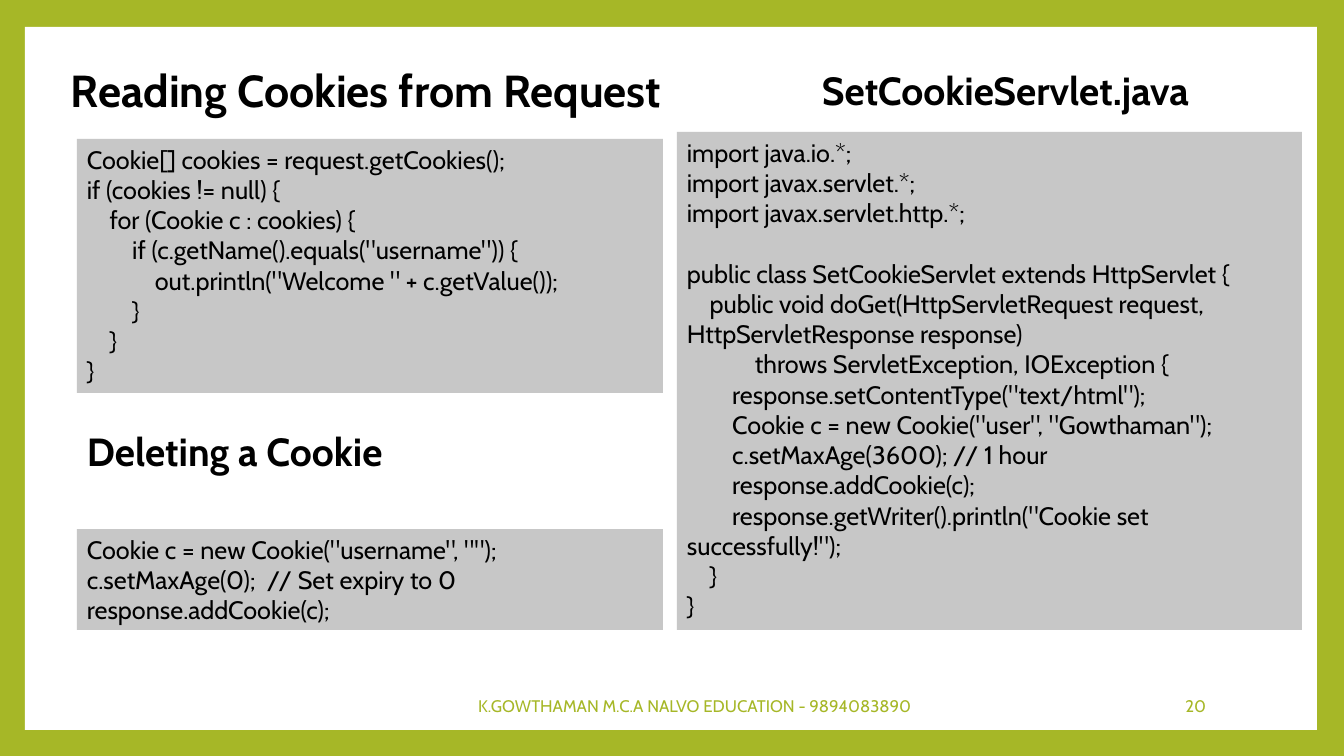
from pptx import Presentation
from pptx import util as u
from pptx.dml.color import RGBColor
from pptx.enum import shapes, text

EMU_PER_PX = 914400 / 100.8

READ_CODE = """\
Cookie[] cookies = request.getCookies();
if (cookies != null) {
    for (Cookie c : cookies) {
        if (c.getName().equals("username")) {
            out.println("Welcome " + c.getValue());
        }
    }
}"""

DELETE_CODE = """\
Cookie c = new Cookie("username", "");
c.setMaxAge(0);  // Set expiry to 0
response.addCookie(c);"""

SERVLET_CODE = """\
import java.io.*;
import javax.servlet.*;
import javax.servlet.http.*;

public class SetCookieServlet extends HttpServlet {
    public void doGet(HttpServletRequest request, HttpServletResponse response)
            throws ServletException, IOException {
        response.setContentType("text/html");
        Cookie c = new Cookie("user", "Gowthaman");
        c.setMaxAge(3600); // 1 hour
        response.addCookie(c);
        response.getWriter().println("Cookie set successfully!");
    }
}"""


def px(length):
    return u.Emu(round(length * EMU_PER_PX))


def colour(value):
    return RGBColor.from_string(value)


class SlideBuilder:
    font = "Cabin"
    green, white, grey, black = "A6B727", "FFFFFF", "C7C7C7", "000000"

    def __init__(self, presentation):
        self.slide = presentation.slides.add_slide(presentation.slide_layouts[6])

    def background(self, fill):
        background = self.slide.background.fill
        background.solid()
        background.fore_color.rgb = colour(fill)

    def panel(self, box, fill):
        shape = self.slide.shapes.add_shape(
            shapes.MSO_SHAPE.RECTANGLE, *map(px, box))
        shape.shadow.inherit = False
        shape.fill.solid()
        shape.fill.fore_color.rgb = colour(fill)
        shape.line.fill.background()
        return shape

    def add_lines(self, shape, lines, size, ink, bold=False,
                  align=text.PP_ALIGN.LEFT, anchor=text.MSO_ANCHOR.TOP, wrap=True):
        frame = shape.text_frame
        frame.word_wrap = wrap
        frame.vertical_anchor = anchor
        for index, line in enumerate(lines):
            paragraph = frame.add_paragraph() if index else frame.paragraphs[0]
            paragraph.alignment = align
            if not line:
                paragraph.font.size = u.Pt(size)
                continue
            run = paragraph.add_run()
            run.text = line
            run.font.name = self.font
            run.font.size = u.Pt(size)
            run.font.bold = bold
            run.font.color.rgb = colour(ink)

    def code(self, box, source):
        self.add_lines(self.panel(box, self.grey), source.split("\n"), 18, self.black)

    def heading(self, box, words, size=28):
        shape = self.slide.shapes.add_textbox(*map(px, box))
        self.add_lines(shape, [words], size, self.black, bold=True, wrap=False)
        shape.text_frame.auto_size = text.MSO_AUTO_SIZE.SHAPE_TO_FIT_TEXT

    def footer(self, left, width, words, align):
        shape = self.slide.shapes.add_textbox(*map(px, (left, 686, width, 40)))
        self.add_lines(shape, [words], 12, self.green, align=align,
                       anchor=text.MSO_ANCHOR.MIDDLE)


def main():
    presentation = Presentation()
    presentation.slide_width, presentation.slide_height = px(1344), px(756)
    builder = SlideBuilder(presentation)

    # Green frame around a white page
    builder.background(builder.green)
    builder.panel((25, 27, 1292, 703), builder.white)

    # Left column: reading and deleting
    builder.heading((61, 58, 615, 65), "Reading Cookies from Request", 32)
    builder.code((77, 139, 586, 254), READ_CODE)
    builder.heading((77, 422, 320, 57), "Deleting a Cookie")
    builder.code((77, 529, 586, 101), DELETE_CODE)

    # Right column: the servlet
    builder.heading((812, 61, 400, 57), "SetCookieServlet.java")
    builder.code((677, 132, 625, 498), SERVLET_CODE)

    # Footer and page number
    builder.footer(435, 520, "K.GOWTHAMAN M.C.A NALVO EDUCATION - 9894083890",
                   text.PP_ALIGN.CENTER)
    builder.footer(1028, 188, "20", text.PP_ALIGN.RIGHT)

    presentation.save("out.pptx")


if __name__ == "__main__":
    main()
